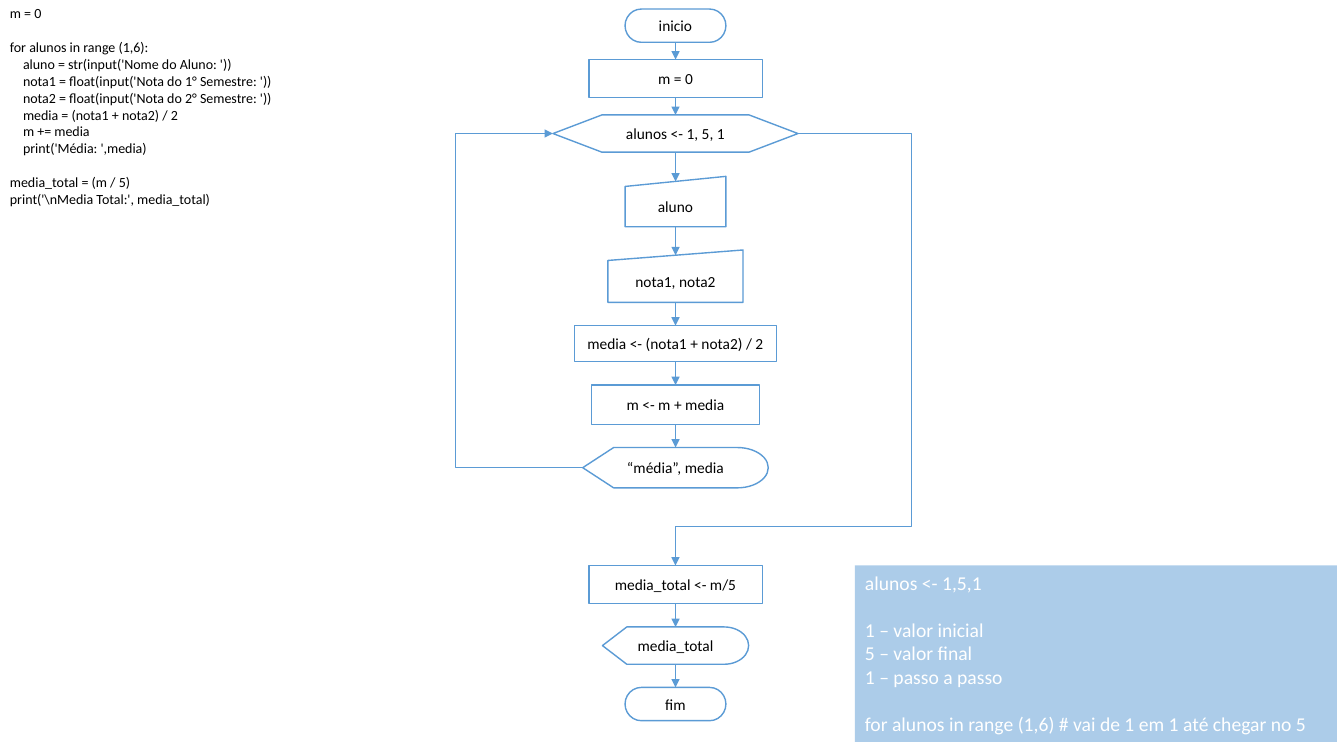
"""Build a slide with a grade-average program, its flowchart and a loop note."""
import pptx
import pptx.util
import pptx.dml.color
import pptx.enum.shapes
import pptx.enum.text
import pptx.oxml

KIND = pptx.enum.shapes.MSO_SHAPE
ALIGN = pptx.enum.text.PP_ALIGN
ANCHOR = pptx.enum.text.MSO_ANCHOR
LINK = pptx.enum.shapes.MSO_CONNECTOR
BLUE, WHITE, BLACK = "5B9BD5", "FFFFFF", "000000"
FONT = "Calibri"
CENTER = 6.7
LEFT_LANE, RIGHT_LANE, RETURN_LEVEL = 4.52, 9.04, 5.22
LINE_HEIGHT, CODE_INDENT = 1.22, 0.13

CODE = [
    [(0, "m = 0")],
    [
        (0, "for alunos in range (1,6):"),
        (1, "aluno = str(input('Nome do Aluno: '))"),
        (1, "nota1 = float(input('Nota do 1° Semestre: '))"),
        (1, "nota2 = float(input('Nota do 2° Semestre: '))"),
        (1, "media = (nota1 + nota2) / 2"),
        (1, "m += media"),
        (1, "print('Média: ',media)"),
    ],
    [(0, "media_total = (m / 5)"), (0, "print('\\nMedia Total:', media_total)")],
]
NOTE = [
    [(0, "alunos <- 1,5,1")],
    [(0, "1 – valor inicial"), (0, "5 – valor final"), (0, "1 – passo a passo")],
    [(0, "for alunos in range (1,6) # vai de 1 em 1 até chegar no 5")],
]
LOOP_START, LOOP_END = "alunos <- 1, 5, 1", "“média”, media"
AFTER_LOOP = "media_total <- m/5"
STEPS = [
    ("inicio", KIND.FLOWCHART_TERMINATOR, 0.09, 1, 0.33),
    ("m = 0", KIND.RECTANGLE, 0.59, 1.72, 0.38),
    (LOOP_START, KIND.FLOWCHART_PREPARATION, 1.14, 2.43, 0.37),
    ("aluno", KIND.FLOWCHART_MANUAL_INPUT, 1.75, 1, 0.5),
    ("nota1, nota2", KIND.FLOWCHART_MANUAL_INPUT, 2.48, 1.34, 0.52),
    ("media <- (nota1 + nota2) / 2", KIND.RECTANGLE, 3.23, 2, 0.36),
    ("m <- m + media", KIND.RECTANGLE, 3.82, 1.67, 0.39),
    (LOOP_END, KIND.FLOWCHART_DISPLAY, 4.44, 1.84, 0.4),
    (AFTER_LOOP, KIND.RECTANGLE, 5.61, 1.72, 0.38),
    ("media_total", KIND.FLOWCHART_DISPLAY, 6.22, 1.45, 0.37),
    ("fim", KIND.FLOWCHART_TERMINATOR, 6.82, 1, 0.33),
]


def color(value):
    return pptx.dml.color.RGBColor.from_string(value)


def inches(*values):
    return [pptx.util.Inches(value) for value in values]


def add_child(parent, tag, **attributes):
    child = pptx.oxml.parse_xml(
        f'<a:{tag} xmlns:a="http://schemas.openxmlformats.org/drawingml/2006/main"/>')
    for name, value in attributes.items():
        child.set(name, value)
    parent.append(child)
    return child


def format_runs(paragraph, size, text_color):
    for run in paragraph.runs:
        run.font.name = FONT
        run.font.size = pptx.util.Pt(size)
        run.font.color.rgb = color(text_color)


def write_blocks(shape, blocks, size, text_color):
    frame = shape.text_frame
    frame.word_wrap = True
    frame.vertical_anchor = ANCHOR.TOP
    lines = [(level, text, number > 0 and position == 0)
             for number, block in enumerate(blocks)
             for position, (level, text) in enumerate(block)]
    frame.text = "\n".join(text for level, text, opens_block in lines)
    for paragraph, (level, text, opens_block) in zip(frame.paragraphs, lines):
        paragraph.alignment = ALIGN.LEFT
        if opens_block:
            paragraph.space_before = pptx.util.Pt(size * LINE_HEIGHT)
        if level:
            margin = pptx.util.Inches(level * CODE_INDENT)
            paragraph._p.get_or_add_pPr().set("marL", str(margin))
        format_runs(paragraph, size, text_color)


def add_step(slide, text, kind, top, width, height):
    shape = slide.shapes.add_shape(
        kind, *inches(CENTER - width / 2, top, width, height))
    shape.shadow.inherit = False
    shape.fill.solid()
    shape.fill.fore_color.rgb = color(WHITE)
    shape.line.color.rgb = color(BLUE)
    shape.line.width = pptx.util.Pt(1)
    shape.text_frame.text = text
    shape.text_frame.vertical_anchor = ANCHOR.MIDDLE
    paragraph = shape.text_frame.paragraphs[0]
    paragraph.alignment = ALIGN.CENTER
    format_runs(paragraph, 11, BLACK)


def add_arrow(slide, begin, end, preset=None, bends=()):
    kind = LINK.ELBOW if preset else LINK.STRAIGHT
    arrow = slide.shapes.add_connector(kind, *inches(*begin, *end))
    arrow.line.color.rgb = color(BLUE)
    arrow.line.width = pptx.util.Pt(0.5)
    properties = arrow._element.spPr
    add_child(arrow.line._get_or_add_ln(), "tailEnd", type="triangle")
    add_child(properties, "effectLst")
    if preset:
        geometry = properties.prstGeom
        geometry.set("prst", preset)
        guides = geometry.get_or_add_avLst()
        for number, share in enumerate(bends, 1):
            add_child(guides, "gd", name=f"adj{number}",
                      fmla=f"val {round(share * 100000)}")


presentation = pptx.Presentation()
presentation.slide_width, presentation.slide_height = inches(13.33, 7.5)
slide = presentation.slides.add_slide(presentation.slide_layouts[6])

code_box = slide.shapes.add_textbox(*inches(0, 0, 2.91, 2.12))
write_blocks(code_box, CODE, 10, BLACK)

for step in STEPS:
    add_step(slide, *step)

for upper, lower in zip(STEPS, STEPS[1:]):
    if upper[0] == LOOP_END:
        continue
    text, kind, top, width, height = lower
    slope = height / 10 if kind == KIND.FLOWCHART_MANUAL_INPUT else 0
    add_arrow(slide, (CENTER, upper[2] + upper[4]), (CENTER, top + slope))

sides = {text: (CENTER - width / 2, CENTER + width / 2, top + height / 2)
         for text, kind, top, width, height in STEPS}
start_left, start_right, start_middle = sides[LOOP_START]
end_left, end_right, end_middle = sides[LOOP_END]
exit_top = next(step[2] for step in STEPS if step[0] == AFTER_LOOP)
add_arrow(slide, (end_left, end_middle), (start_left, start_middle),
          "bentConnector3", [(end_left - LEFT_LANE) / (end_left - start_left)])
add_arrow(slide, (start_right, start_middle), (CENTER, exit_top), "bentConnector4",
          [(start_right - RIGHT_LANE) / (start_right - CENTER),
           (RETURN_LEVEL - start_middle) / (exit_top - start_middle)])

note = slide.shapes.add_shape(KIND.RECTANGLE, *inches(8.48, exit_top, 4.78, 1.75))
note.shadow.inherit = False
note.fill.solid()
note.fill.fore_color.rgb = color(BLUE)
add_child(note.fill._xPr.solidFill[0], "alpha", val="50000")
note.line.fill.background()
write_blocks(note, NOTE, 14, WHITE)

presentation.save("out.pptx")
